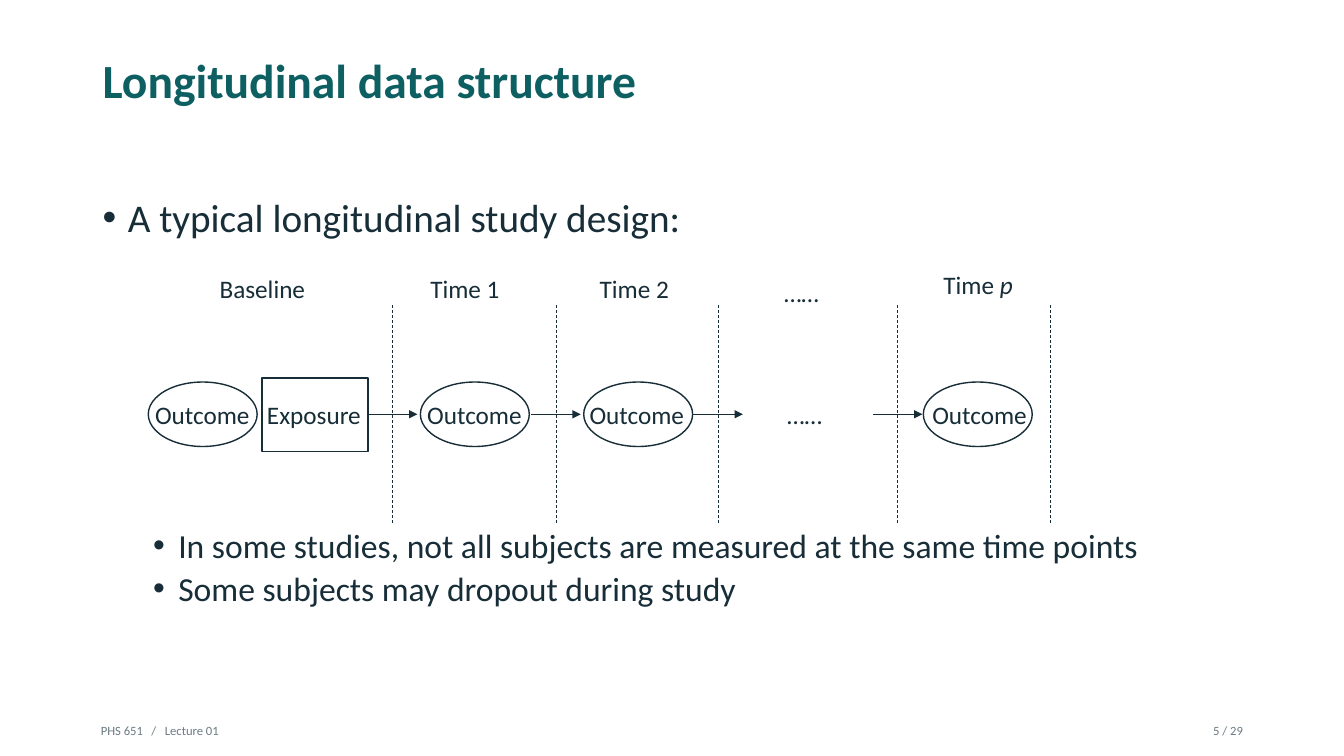
from dataclasses import dataclass

from lxml.etree import SubElement
from pptx import Presentation
from pptx.dml.color import RGBColor
from pptx.enum.dml import MSO_LINE_DASH_STYLE as Dash
from pptx.enum.shapes import MSO_CONNECTOR_TYPE as Connector
from pptx.enum.shapes import MSO_SHAPE as Preset
from pptx.enum.text import MSO_ANCHOR as Anchor
from pptx.enum.text import PP_ALIGN as Align
from pptx.oxml.ns import qn
from pptx.slide import Slide
from pptx.util import Inches, Pt

TEAL = RGBColor(0x0D, 0x5F, 0x62)
INK = RGBColor(0x17, 0x2D, 0x38)
GREY = RGBColor(0x6B, 0x7B, 0x82)
FONT = "Calibri"
WIDTH, HEIGHT = Inches(13.33), Inches(7.5)

# All places and sizes are percentages of the slide's width or height
MARGIN, CONTENT_WIDTH = 6.9, 86.25
OVAL_TOP, OVAL_WIDTH, OVAL_HEIGHT = 50.53, 8.1, 8.53
LABEL_TOP, LABEL_HEIGHT = 52.13, 5.33
ARROW_Y, ARROW_LENGTH = 54.8, 3.68
DIVIDER_TOP, DIVIDER_BOTTOM = 40.4, 69.2
OVALS = (11.03, 31.28, 43.43, 68.7)
ARROWS = (27.38, 39.53, 51.6, 64.95)
DIVIDERS = (29.18, 41.4, 53.48, 66.75, 78.15)


@dataclass(frozen=True)
class Label:
    text: str
    left: float
    top: float
    width: float
    height: float = LABEL_HEIGHT
    size: float = 18
    color: RGBColor = INK
    bold: bool = False
    italic_end: str = ""
    align: Align = Align.LEFT
    anchor: Anchor = Anchor.TOP
    inset_x: float = 0.1
    inset_y: float = 0.05


@dataclass(frozen=True)
class Bullets:
    lines: tuple[str, ...]
    top: float
    height: float
    size: float
    indent: float
    gap: float = 0


LABELS = (
    # Title
    Label("Longitudinal data structure", MARGIN, 5.33, CONTENT_WIDTH, 10.4, 34, TEAL,
          bold=True, anchor=Anchor.MIDDLE, inset_y=0),
    # Time points
    Label("Baseline", 15.6, 35.47, 10.5),
    Label("Time 1", 31.28, 35.47, 10.5),
    Label("Time 2", 43.88, 35.47, 10.5),
    Label("……", 57.6, 36, 4.73),
    Label("Time ", 69.45, 34.93, 10.5, italic_end="p"),
    # Measurements
    Label("Outcome", 10.8, LABEL_TOP, 9.38),
    Label("Exposure", 19.13, LABEL_TOP, 8.63),
    Label("Outcome", 31.05, LABEL_TOP, 10.5),
    Label("Outcome", 43.13, LABEL_TOP, 12.08),
    Label("……", 57.83, LABEL_TOP, 4.28),
    Label("Outcome", 68.63, LABEL_TOP, 12.08),
    # Footer
    Label("PHS 651   /   Lecture 01", 7.5, 95.6, 66.38, 2.8, 9, GREY, inset_x=0, inset_y=0),
    Label("5 / 29", 86.7, 95.6, 5.78, 2.8, 9, GREY, align=Align.RIGHT, inset_x=0, inset_y=0),
)
BULLETS = (
    Bullets(("A typical longitudinal study design:",), 25.6, 8, 28, 0.25),
    Bullets(("In some studies, not all subjects are measured at the same time points",
             "Some subjects may dropout during study"), 69.33, 14.7, 24, 0.75, 5),
)


def across(share: float) -> int:
    return round(WIDTH * share / 100)


def down(share: float) -> int:
    return round(HEIGHT * share / 100)


def add_label(page: Slide, label: Label) -> None:
    box = page.shapes.add_textbox(across(label.left), down(label.top),
                                  across(label.width), down(label.height))
    frame = box.text_frame
    frame.word_wrap = True
    frame.vertical_anchor = label.anchor
    frame.margin_left = frame.margin_right = Inches(label.inset_x)
    frame.margin_top = frame.margin_bottom = Inches(label.inset_y)
    frame.text = label.text
    para = frame.paragraphs[0]
    para.alignment = label.align
    if label.italic_end:
        span = para.add_run()
        span.text = label.italic_end
        span.font.italic = True
    for span in para.runs:
        span.font.name = FONT
        span.font.size = Pt(label.size)
        span.font.bold = label.bold
        span.font.color.rgb = label.color


def add_bullets(page: Slide, bullets: Bullets) -> None:
    box = page.shapes.add_textbox(across(MARGIN), down(bullets.top),
                                  across(CONTENT_WIDTH), down(bullets.height))
    frame = box.text_frame
    frame.word_wrap = True
    frame.text = "\n".join(bullets.lines)
    for index, para in enumerate(frame.paragraphs):
        para.line_spacing = 0.9
        para.space_before = Pt(bullets.gap if index else 0)
        properties = para._p.get_or_add_pPr()
        properties.set("marL", str(Inches(bullets.indent)))
        properties.set("indent", str(-Inches(0.25)))
        SubElement(properties, qn("a:buFont"), typeface="Arial")
        SubElement(properties, qn("a:buChar"), char="•")
        for span in para.runs:
            span.font.name = FONT
            span.font.size = Pt(bullets.size)
            span.font.color.rgb = INK


def add_outline(page: Slide, preset: Preset, left: float, top: float,
                width: float, height: float) -> None:
    shape = page.shapes.add_shape(preset, across(left), down(top), across(width), down(height))
    shape.shadow.inherit = False
    shape.fill.background()
    shape.line.color.rgb = INK
    shape.line.width = Pt(1)


def add_line(page: Slide, start: tuple[float, float], end: tuple[float, float],
             arrow: bool = False) -> None:
    line = page.shapes.add_connector(Connector.STRAIGHT, across(start[0]), down(start[1]),
                                     across(end[0]), down(end[1]))
    line.line.color.rgb = INK
    line.line.width = Pt(0.5)
    if arrow:
        SubElement(line.line._get_or_add_ln(), qn("a:tailEnd"), type="triangle")
    else:
        line.line.dash_style = Dash.DASH
    SubElement(line._element.spPr, qn("a:effectLst"))


def main() -> None:
    deck = Presentation()
    deck.slide_width, deck.slide_height = WIDTH, HEIGHT
    page = deck.slides.add_slide(deck.slide_layouts[6])

    # Study diagram
    for left in OVALS:
        add_outline(page, Preset.OVAL, left, OVAL_TOP, OVAL_WIDTH, OVAL_HEIGHT)
    add_outline(page, Preset.RECTANGLE, 19.5, 50, 7.88, 9.73)
    for left in ARROWS:
        add_line(page, (left, ARROW_Y), (left + ARROW_LENGTH, ARROW_Y), arrow=True)
    for x in DIVIDERS:
        add_line(page, (x, DIVIDER_TOP), (x, DIVIDER_BOTTOM))

    # Text
    for label in LABELS:
        add_label(page, label)
    for bullets in BULLETS:
        add_bullets(page, bullets)

    deck.save("out.pptx")


if __name__ == "__main__":
    main()
